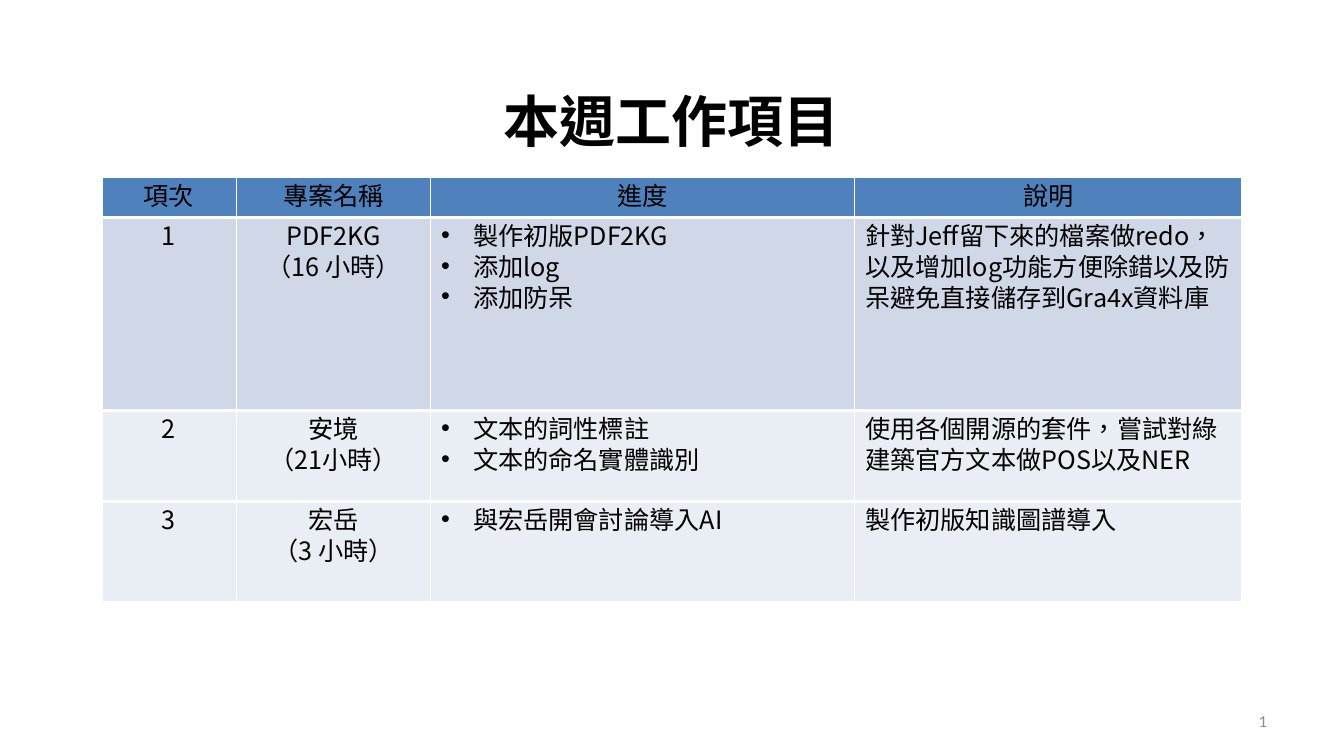
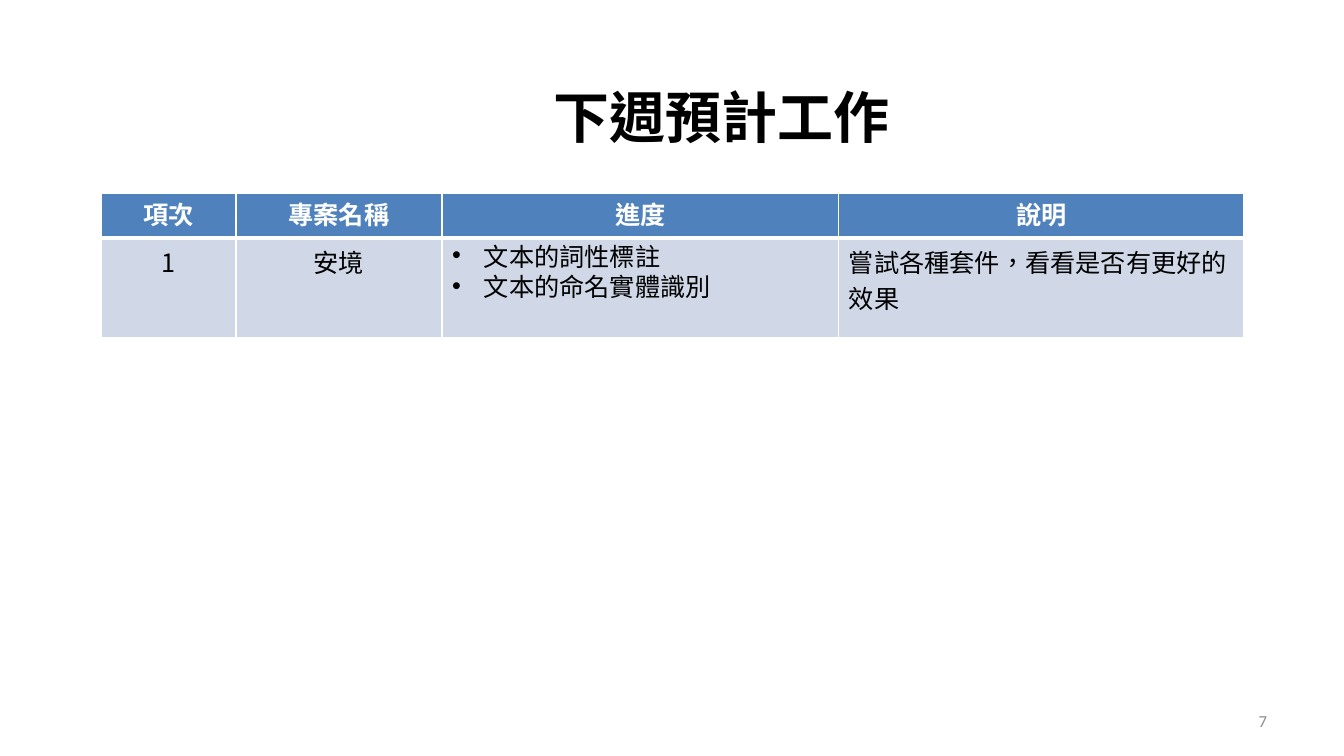
from lxml.etree import SubElement
from pptx import Presentation
from pptx.dml.color import RGBColor
from pptx.enum.text import MSO_ANCHOR, MSO_AUTO_SIZE, PP_ALIGN
from pptx.oxml.ns import qn
from pptx.util import Emu, Pt

# Shared style
BLACK = RGBColor(0x00, 0x00, 0x00)
WHITE = RGBColor(0xFF, 0xFF, 0xFF)
GRAY = RGBColor(0x8C, 0x8C, 0x8C)
HEADER_BLUE = RGBColor(0x4F, 0x81, 0xBD)
BAND_DARK = RGBColor(0xD0, 0xD8, 0xE8)
BAND_LIGHT = RGBColor(0xE9, 0xED, 0xF4)
SANS, TITLE_SANS, LATIN = "Noto Sans CJK TC", "Noto Sans CJK SC", "Calibri"
LANGUAGE = "zh-TW"
PX = 914400 / 100.8
SLIDE_SIZE = (1344, 756)
TITLE_SIZE = (611, 78)
NUMBER_BOX = (964, 701, 313, 40)
BULLET_INDENT = 32
TIGHT = Pt(21.8)

TITLE_FONT = {"name": TITLE_SANS, "size": Pt(40), "bold": True, "color": BLACK}
NUMBER_FONT = {"name": LATIN, "size": Pt(12), "bold": False, "color": GRAY}
BODY_FONT = {"name": SANS, "size": Pt(18), "bold": False, "color": BLACK}
BOLD_HEADER = {"name": LATIN, "size": Pt(18), "bold": True, "color": WHITE}

# Content: a cell is a list of paragraphs; a tuple adds a second run in LATIN
HEADERS = ["項次", "專案名稱", "進度", "說明"]
PROGRESS_COLUMN = 2
TEXT_TASKS = [("文本的", "詞性標註"), ("文本的", "命名實體識別")]
SLIDES = [
    {
        "title": "本週工作項目", "title_at": (366, 81), "number": "1",
        "table_at": (102, 177), "columns": [134, 195, 424, 387],
        "heights": [40, 193, 91, 101],
        "fills": [BAND_DARK, BAND_LIGHT, BAND_LIGHT],
        "header_font": BODY_FONT, "tight_columns": {0, 1, 2, 3}, "tight_header": True,
        "side_line": 0.75, "row_line": 2.18, "header_line": 2.18,
        "rows": [
            [["1"], ["PDF2KG", "（16 小時）"],
             ["製作初版PDF2KG", "添加log", "添加防呆"],
             ["針對Jeff留下來的檔案做redo，以及增加log功能方便除錯以及防呆避免直接儲存到Gra4x資料庫"]],
            [["2"], ["安境", "（21小時）"], TEXT_TASKS,
             ["使用各個開源的套件，嘗試對綠建築官方文本做POS以及NER"]],
            [["3"], ["宏岳", "（3 小時）"], ["與宏岳開會討論導入AI"],
             ["製作初版知識圖譜導入"]],
        ],
    },
    {
        "title": "下週預計工作", "title_at": (416, 77), "number": "7",
        "table_at": (101, 193), "columns": [135, 206, 397, 405],
        "heights": [45, 100],
        "fills": [BAND_DARK],
        "header_font": BOLD_HEADER, "tight_columns": {2}, "tight_header": False,
        "side_line": 1, "row_line": 1, "header_line": 3,
        "rows": [
            [["1"], ["安境"], TEXT_TASKS, ["嘗試各種套件，看看是否有更好的效果"]],
        ],
    },
]


def px(*values):
    return [Emu(round(value * PX)) for value in values]


def add_run(paragraph, text, font_format):
    run = paragraph.add_run()
    run.text = text
    for key, value in font_format.items():
        if key == "color":
            run.font.color.rgb = value
        else:
            setattr(run.font, key, value)
    properties = run.font._element
    properties.set("lang", LANGUAGE)
    SubElement(properties, qn("a:ea")).set("typeface", font_format["name"])


def format_frame(frame, text, font_format, alignment):
    for key, value in {"word_wrap": True, "auto_size": MSO_AUTO_SIZE.NONE,
                       "vertical_anchor": MSO_ANCHOR.MIDDLE}.items():
        setattr(frame, key, value)
    frame.paragraphs[0].alignment = alignment
    add_run(frame.paragraphs[0], text, font_format)


def add_bullet(paragraph):
    indent = px(BULLET_INDENT)[0]
    properties = paragraph._p.get_or_add_pPr()
    properties.set("marL", str(indent))
    properties.set("indent", str(-indent))
    SubElement(properties, qn("a:buFont")).set("typeface", "Arial")
    SubElement(properties, qn("a:buChar")).set("char", "•")


def set_borders(cell, side, top, bottom):
    properties = cell._tc.get_or_add_tcPr()
    for tag, width in (("lnL", side), ("lnR", side), ("lnT", top), ("lnB", bottom)):
        line = SubElement(properties, qn(f"a:{tag}"), w=str(Pt(width)))
        fill = SubElement(line, qn("a:solidFill"))
        SubElement(fill, qn("a:srgbClr")).set("val", str(WHITE))


def fill_cell(cell, paragraphs, font_format, alignment, tight, bulleted):
    frame = cell.text_frame
    for index, content in enumerate(paragraphs):
        paragraph = frame.add_paragraph() if index else frame.paragraphs[0]
        paragraph.alignment = alignment
        if tight:
            paragraph.line_spacing = TIGHT
        if bulleted:
            add_bullet(paragraph)
        runs = content if isinstance(content, tuple) else (content,)
        for text, name in zip(runs, (font_format["name"], LATIN)):
            add_run(paragraph, text, {**font_format, "name": name})


def add_work_table(slide, data):
    columns, heights = data["columns"], data["heights"]
    box = px(*data["table_at"], sum(columns), sum(heights))
    table = slide.shapes.add_table(len(heights), len(columns), *box).table
    table.horz_banding = False
    for column, width in zip(table.columns, px(*columns)):
        column.width = width
    for row, height in zip(table.rows, px(*heights)):
        row.height = height

    rows = [[[header] for header in HEADERS]] + data["rows"]
    fills = [HEADER_BLUE] + data["fills"]
    lines = [data["side_line"], data["header_line"]] + [data["row_line"]] * len(data["rows"])
    for row_index, (row, fill) in enumerate(zip(rows, fills)):
        is_header = row_index == 0
        for column_index, paragraphs in enumerate(row):
            cell = table.cell(row_index, column_index)
            set_borders(cell, data["side_line"], lines[row_index], lines[row_index + 1])
            cell.fill.solid()
            cell.fill.fore_color.rgb = fill
            if is_header:
                cell.vertical_anchor = MSO_ANCHOR.MIDDLE
            centered = is_header or column_index < PROGRESS_COLUMN
            fill_cell(
                cell, paragraphs,
                data["header_font"] if is_header else BODY_FONT,
                PP_ALIGN.CENTER if centered else PP_ALIGN.LEFT,
                data["tight_header"] if is_header else column_index in data["tight_columns"],
                not is_header and column_index == PROGRESS_COLUMN,
            )


def add_work_slide(presentation, data):
    slide = presentation.slides.add_slide(presentation.slide_layouts[5])
    # Page number
    number = slide.shapes.add_textbox(*px(*NUMBER_BOX))
    format_frame(number.text_frame, data["number"], NUMBER_FONT, PP_ALIGN.RIGHT)
    # Title
    title = slide.shapes.title
    title.left, title.top, title.width, title.height = px(*data["title_at"], *TITLE_SIZE)
    format_frame(title.text_frame, data["title"], TITLE_FONT, PP_ALIGN.CENTER)
    # Work items
    add_work_table(slide, data)


def main():
    presentation = Presentation()
    presentation.slide_width, presentation.slide_height = px(*SLIDE_SIZE)
    for data in SLIDES:
        add_work_slide(presentation, data)
    presentation.save("out.pptx")


if __name__ == "__main__":
    main()
